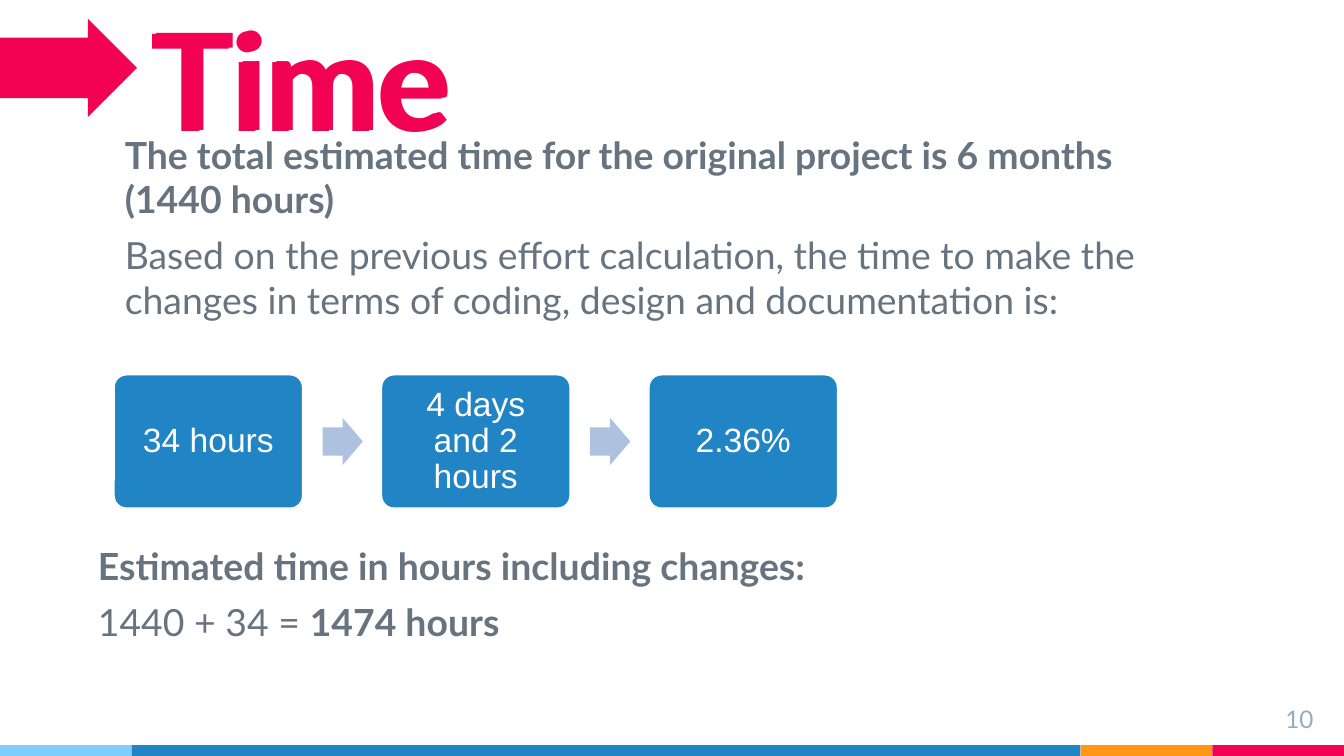
from pptx import Presentation
from pptx.util import Inches, Pt
from pptx.dml.color import RGBColor
from pptx.enum.shapes import MSO_SHAPE as Shape
from pptx.enum.text import MSO_ANCHOR as Anchor, PP_ALIGN as Align

COLORS = {"red": "F20253", "orange": "FF9715", "sky": "7ECEFD", "blue": "2185C5",
          "pale": "ACC2DF", "slate": "677480", "gray": "97ABBC", "white": "FFFFFF"}
WIDTH, HEIGHT = 10, 5.625

deck = Presentation()
deck.slide_width, deck.slide_height = Inches(WIDTH), Inches(HEIGHT)
page = deck.slides.add_slide(deck.slide_layouts[6])


def add_block(kind, place, color, adjustments=()):
    block = page.shapes.add_shape(kind, *map(Inches, place))
    block.shadow.inherit = False
    block.fill.solid()
    block.fill.fore_color.rgb = RGBColor.from_string(COLORS[color])
    block.line.fill.background()
    for index, value in enumerate(adjustments):
        block.adjustments[index] = value
    return block


def write(box, paragraphs, size, color, font="Lato", anchor=Anchor.TOP, inset=0.1, **layout):
    frame = box.text_frame
    settings = {"word_wrap": True, "vertical_anchor": anchor}
    settings |= {f"margin_{side}": Inches(inset) for side in ("left", "top", "right", "bottom")}
    for name, value in settings.items():
        setattr(frame, name, value)
    for index, spans in enumerate(paragraphs):
        para = frame.add_paragraph() if index else frame.paragraphs[0]
        for name, value in layout.items():
            setattr(para, name, value)
        for text, bold in spans:
            span = para.add_run()
            span.text = text
            for name, value in {"name": font, "size": Pt(size), "bold": bold}.items():
                setattr(span.font, name, value)
            span.font.color.rgb = RGBColor.from_string(COLORS[color])


BAR_HEIGHT, END_WIDTH = 0.08, 0.98
bar_left = 0
for color, width in (("sky", END_WIDTH), ("blue", WIDTH - 3 * END_WIDTH),
                     ("orange", END_WIDTH), ("red", END_WIDTH)):
    add_block(Shape.RECTANGLE, (bar_left, HEIGHT - BAR_HEIGHT, width, BAR_HEIGHT), color)
    bar_left += width

add_block(Shape.RIGHT_ARROW, (-0.01, 0.14, 1.03, 0.73), "red", (0.618, 0.5))

TEXT_WIDTH = 8.22
for left, top in ((1.05, 0.29), (1.02, 0.3)):
    title = page.shapes.add_textbox(*map(Inches, (left, top, TEXT_WIDTH, 0.98)))
    write(title, [[("Time", True)]], 72, "red", anchor=Anchor.BOTTOM)

number = page.shapes.add_textbox(*map(Inches, (9.27, 5.14, 0.6, 0.34)))
write(number, [[("10", False)]], 13, "gray", alignment=Align.RIGHT)

passages = (
    (0.83, 0.88, [
        [("The total estimated time for the original project is 6 months (1440 hours)", True)],
        [("Based on the previous effort calculation, the time to make the changes "
          "in terms of coding, design and documentation is:", False)]]),
    (0.63, 3.94, [
        [("Estimated time in hours including changes:", True)],
        [("1440 + 34 = ", False), ("1474 hours", True)]]),
)
for left, top, paragraphs in passages:
    passage = page.shapes.add_textbox(*map(Inches, (left, top, TEXT_WIDTH, 0.51)))
    write(passage, paragraphs, 20, "slate", space_before=Pt(6))

STEP_LEFT, STEP_TOP, STEP_PITCH = 0.84, 2.78, 1.99
STEP_WIDTH, STEP_HEIGHT = 1.42, 1.01
ARROW_WIDTH, ARROW_HEIGHT = 0.3, 0.35
steps = ("34 hours", "4 days and 2 hours", "2.36%")
for column, label in enumerate(steps):
    left = STEP_LEFT + column * STEP_PITCH
    step = add_block(Shape.ROUNDED_RECTANGLE, (left, STEP_TOP, STEP_WIDTH, STEP_HEIGHT), "blue", (0.1,))
    step.line.color.rgb = RGBColor.from_string(COLORS["white"])
    step.line.width = Pt(2)
    write(step, [[(label, False)]], 18, "white", "Arial", Anchor.MIDDLE,
          alignment=Align.CENTER, line_spacing=0.9)
    if column < len(steps) - 1:
        arrow_top = STEP_TOP + (STEP_HEIGHT - ARROW_HEIGHT) / 2
        add_block(Shape.RIGHT_ARROW, (left + 1.56, arrow_top, ARROW_WIDTH, ARROW_HEIGHT),
                  "pale", (0.6, 0.5))

deck.save("out.pptx")
